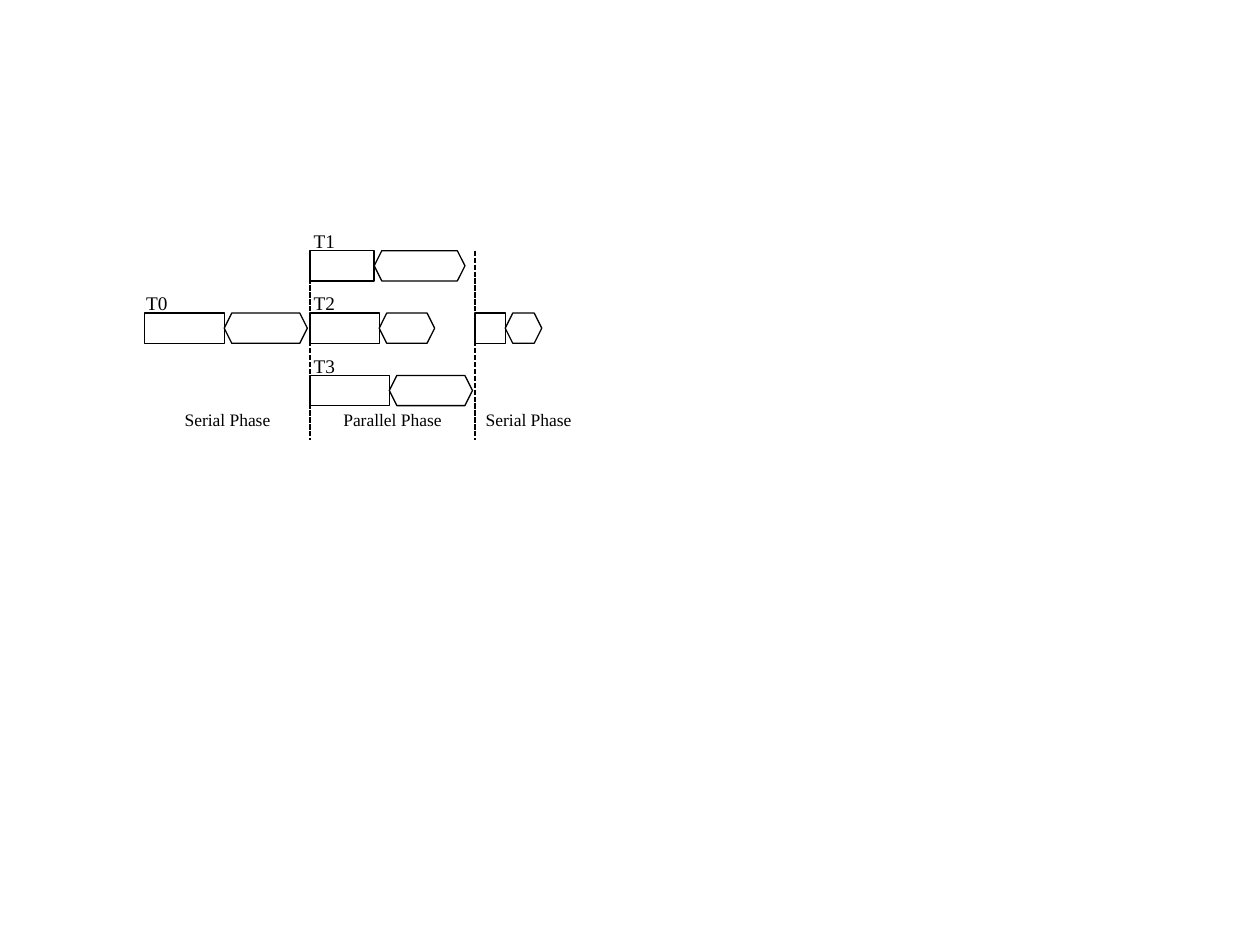
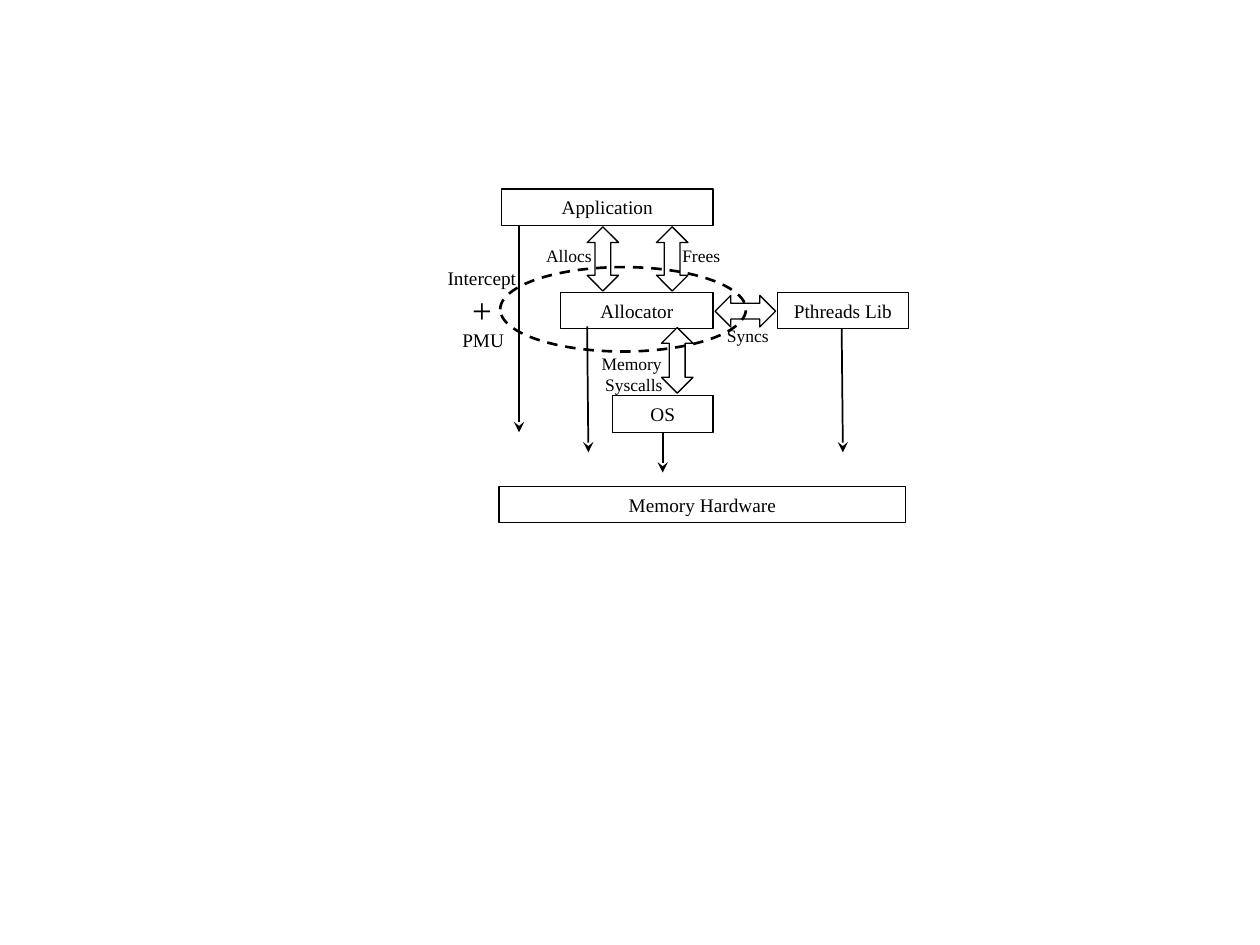
import pptx
import pptx.util
import pptx.dml.color
import pptx.enum.dml
import pptx.enum.shapes
import pptx.enum.text
import pptx.oxml.ns
import lxml.etree

SHAPE = pptx.enum.shapes.MSO_SHAPE
DASH = pptx.enum.dml.MSO_LINE
ANCHOR = pptx.enum.text.MSO_ANCHOR
ALIGN = pptx.enum.text.PP_ALIGN
FIT = pptx.enum.text.MSO_AUTO_SIZE
COLORS = {"ink": "000000", "paper": "FFFFFF"}
FONT = "Times New Roman"
LABEL_SIZE, NOTE_SIZE = 11, 10

presentation = pptx.Presentation()
presentation.slide_width = pptx.util.Inches(10)
presentation.slide_height = pptx.util.Inches(7.5)
CELL = presentation.slide_width / 100  # square grid: 100 columns, 75 rows

# --- Content: execution phases (grid cells) ---
PHASE_LEFT, PHASE_WIDTH = 11.5, 13.1
LANE_TOP, LANE_STEP, BAR_HEIGHT = 19.9, 4.95, 2.4
DIVIDER_BOTTOM, PHASE_LABEL_TOP = 34.9, 32
# label, label indent, phase, lane, box width, hexagon width
THREADS = [
    ("T0", 0.1, 0, 1, 6.3, 6.6),
    ("T1", 0.3, 1, 0, 5.1, 7.2),
    ("T2", 0.3, 1, 1, 5.5, 4.4),
    ("T3", 0.3, 1, 2, 6.3, 6.6),
    (None, 0, 2, 1, 2.4, 2.9),
]
# name, width, side inset
PHASES = [("Serial Phase", PHASE_WIDTH, 1), ("Parallel Phase", PHASE_WIDTH, 1),
          ("Serial Phase", 8.5, 0)]

# --- Content: software stack (left, top, width, height in grid cells) ---
BOX_HEIGHT = 2.9
BOXES = [
    ("Application", 39.8, 15, 16.8),
    ("Allocator", 44.5, 23.2, 12.1),
    ("OS", 48.6, 31.4, 8),
    ("Pthreads Lib", 61.7, 23.2, 10.4),
    ("Memory Hardware", 39.6, 38.6, 32.3),
]
# left, top, height, rotation
EXCHANGES = [(46.6, 18, 5.1, 0), (52.1, 18, 5.1, 0), (52.5, 26, 5.2, 0), (57.9, 22.3, 4.8, 90)]
NOTES = [
    ("Allocs", 42, 18.9, 6.3, 2.7),
    ("Frees", 52.5, 18.9, 6.3, 2.7),
    ("Memory \nSyscalls", 46.7, 27.5, 7.2, 4.4),
    ("Syncs", 56.2, 25.3, 6.3, 2.7),
]
INTERCEPT_ZONE = (39.7, 21.2, 19.5, 6.7)
INTERCEPT_LABELS = [
    ("Intercept", 34.4, 20.6, 7.7, 2.9, LABEL_SIZE),
    ("+", 33.4, 22.4, 9.7, 4.4, 20),
    ("PMU", 33.1, 25.5, 10.5, 2.9, LABEL_SIZE),
]
ACCESSES = [(52.6, 34.3, 52.6, 37.5), (66.8, 26.1, 66.9, 35.9),
            (46.6, 25.9, 46.7, 35.9), (41.2, 17.9, 41.2, 34.3)]


# --- Shared drawing helpers ---
def grid(*lengths):
    return [round(length * CELL) for length in lengths]


def apply(target, values):
    for name, value in values.items():
        setattr(target, name, value)


def ink():
    return pptx.dml.color.RGBColor.from_string(COLORS["ink"])


def style_line(line, width, dash=None):
    line.color.rgb = ink()
    apply(line, {"width": pptx.util.Pt(width), "dash_style": dash})


def write(shape, text, size, align=ALIGN.CENTER, anchor=ANCHOR.MIDDLE, side=1, fit=FIT.NONE):
    margin, inset = grid(0.5, side)
    frame = shape.text_frame
    apply(frame, {"word_wrap": True, "auto_size": fit, "vertical_anchor": anchor,
                  "margin_left": inset, "margin_right": inset,
                  "margin_top": margin, "margin_bottom": margin})
    frame.text = text
    for paragraph in frame.paragraphs:
        paragraph.alignment = align
        for run in paragraph.runs:
            apply(run.font, {"name": FONT, "size": pptx.util.Pt(size)})
            run.font.color.rgb = ink()


def add_text(shapes, text, area, size, **options):
    write(shapes.add_textbox(*grid(*area)), text, size, fit=FIT.SHAPE_TO_FIT_TEXT, **options)


def add_outline(slide, kind, area, width=0.75, dash=None, rotation=0):
    shape = slide.shapes.add_shape(kind, *grid(*area))
    shape.shadow.inherit = False
    shape.fill.background()
    shape.rotation = rotation
    style_line(shape.line, width, dash)
    return shape


def add_line(slide, ends, dash=None, head=None):
    connector = slide.shapes.add_connector(pptx.enum.shapes.MSO_CONNECTOR.STRAIGHT, *grid(*ends))
    style_line(connector.line, 1, dash)
    if head:
        lxml.etree.SubElement(connector.line._get_or_add_ln(),
                              pptx.oxml.ns.qn("a:tailEnd"), type=head)
    lxml.etree.SubElement(connector._element.spPr, pptx.oxml.ns.qn("a:effectLst"))


def add_slide():
    slide = presentation.slides.add_slide(presentation.slide_layouts[6])
    fill = slide.background.fill
    fill.solid()
    fill.fore_color.rgb = pptx.dml.color.RGBColor.from_string(COLORS["paper"])
    return slide


# --- Slide 1: serial and parallel phases ---
slide = add_slide()
for label, indent, phase, lane, box_width, hexagon_width in THREADS:
    left = PHASE_LEFT + phase * PHASE_WIDTH
    top = LANE_TOP + lane * LANE_STEP
    add_outline(slide, SHAPE.HEXAGON, (left + box_width, top, hexagon_width, BAR_HEIGHT))
    add_outline(slide, SHAPE.RECTANGLE, (left, top, box_width, BAR_HEIGHT))
    if label:
        add_text(slide.shapes, label, (left + indent, top - 2.2, 3.7, 2.9), LABEL_SIZE,
                 align=ALIGN.LEFT, anchor=ANCHOR.TOP, side=0)
for phase, (name, width, side) in enumerate(PHASES):
    left = PHASE_LEFT + phase * PHASE_WIDTH
    add_text(slide.shapes, name, (left, PHASE_LABEL_TOP, width, 2.7), NOTE_SIZE,
             anchor=ANCHOR.TOP, side=side)
    if phase:
        add_line(slide, (left, LANE_TOP, left, DIVIDER_BOTTOM), dash=DASH.SQUARE_DOT)

# --- Slide 2: allocator between application, libraries and hardware ---
slide = add_slide()
for name, left, top, width in BOXES:
    box = add_outline(slide, SHAPE.RECTANGLE, (left, top, width, BOX_HEIGHT))
    write(box, name, LABEL_SIZE)
for left, top, height, rotation in EXCHANGES:
    add_outline(slide, SHAPE.UP_DOWN_ARROW, (left, top, 2.5, height), rotation=rotation)
for text, *area in NOTES:
    add_text(slide.shapes, text, area, NOTE_SIZE)
add_outline(slide, SHAPE.OVAL, INTERCEPT_ZONE, 1.5, DASH.DASH)
intercept_group = slide.shapes.add_group_shape()
for text, *area, size in INTERCEPT_LABELS:
    add_text(intercept_group.shapes, text, area, size)
for ends in ACCESSES:
    add_line(slide, ends, head="stealth")

presentation.save("out.pptx")
